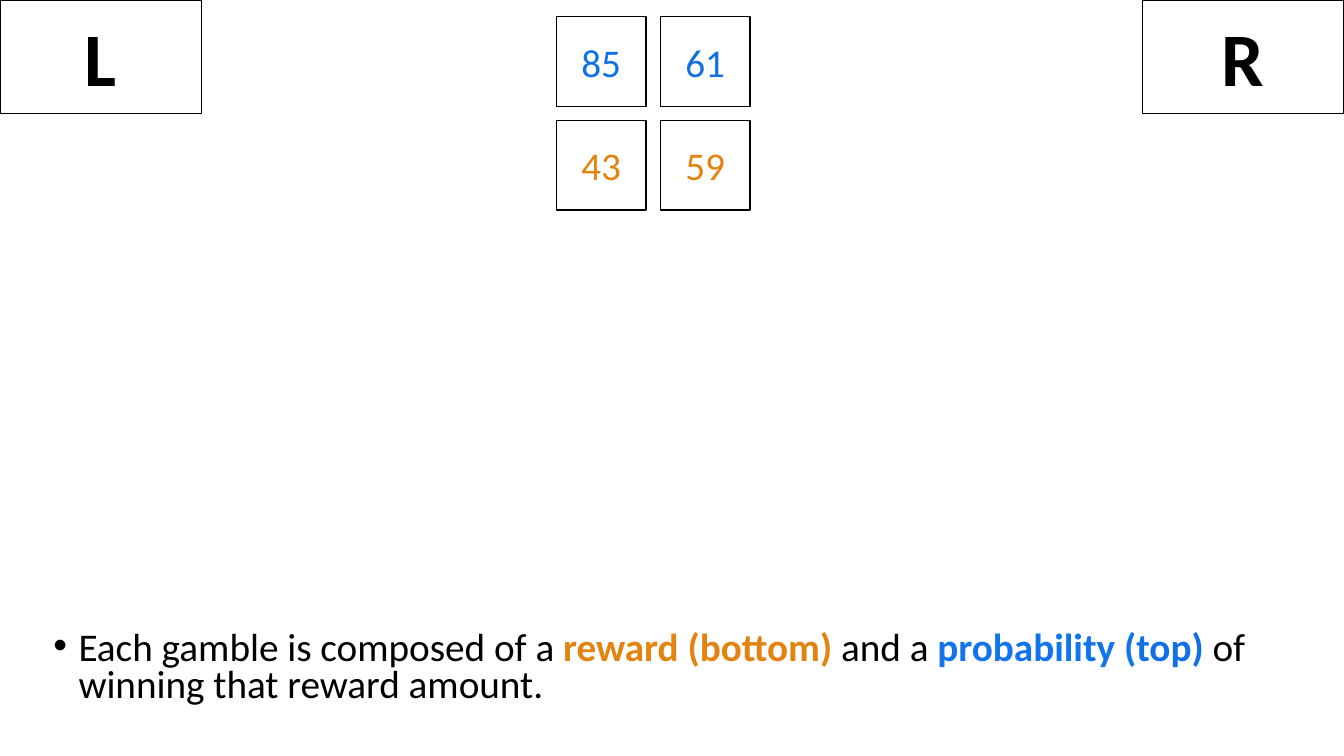
from dataclasses import dataclass

from lxml import etree
from pptx import Presentation
from pptx.dml.color import RGBColor
from pptx.enum.shapes import MSO_SHAPE
from pptx.enum.text import MSO_ANCHOR, PP_ALIGN
from pptx.oxml.ns import qn
from pptx.util import Inches, Pt

RECT = MSO_SHAPE.RECTANGLE
MIDDLE = MSO_ANCHOR.MIDDLE
CENTER = PP_ALIGN.CENTER


@dataclass(frozen=True)
class Theme:
    font: str = "Calibri"
    ink: str = "000000"
    paper: str = "FFFFFF"
    reward: str = "E38411"
    chance: str = "1170E3"
    chance_label: str = "1274EC"
    key_size: int = 54
    body_size: int = 28
    line_width: int = 1


class SlideBuilder:
    def __init__(self, prs, theme):
        self.prs = prs
        self.theme = theme
        self.slide = prs.slides.add_slide(prs.slide_layouts[6])

    def place(self, left, top, width, height):
        w, h = self.prs.slide_width, self.prs.slide_height
        return (round(w * left / 100), round(h * top / 100),
                round(w * width / 100), round(h * height / 100))

    def run(self, p, text, size, color, bold=False):
        r = p.add_run()
        r.text = text
        r.font.name = self.theme.font
        r.font.size = Pt(size)
        r.font.bold = bold
        r.font.color.rgb = RGBColor.from_string(color)

    def box(self, area, text, size, color, bold=False, fill=None, parent=None):
        shapes = (parent or self.slide).shapes
        sp = shapes.add_shape(RECT, *self.place(*area))
        sp.shadow.inherit = False
        if fill:
            sp.fill.solid()
            sp.fill.fore_color.rgb = RGBColor.from_string(fill)
        else:
            sp.fill.background()
        sp.line.color.rgb = RGBColor.from_string(self.theme.ink)
        sp.line.width = Pt(self.theme.line_width)
        tf = sp.text_frame
        tf.vertical_anchor = MIDDLE
        p = tf.paragraphs[0]
        p.alignment = CENTER
        self.run(p, text, size, color, bold)

    def key(self, left, letter):
        t = self.theme
        self.box((left, 0, 15, 15), letter, t.key_size, t.ink, True, t.paper)

    def number_row(self, top, values, color):
        group = self.slide.shapes.add_group_shape()
        for i, value in enumerate(values):
            area = (41.4 + i * 7.73, top, 6.68, 11.87)
            self.box(area, str(value), self.theme.body_size, color, parent=group)

    def bullet(self, area, parts):
        tf = self.slide.shapes.add_textbox(*self.place(*area)).text_frame
        tf.word_wrap = True
        p = tf.paragraphs[0]
        p.line_spacing = 0.8
        pPr = p._p.get_or_add_pPr()
        pPr.set("marL", str(Inches(0.25)))
        pPr.set("indent", str(Inches(-0.25)))
        etree.SubElement(pPr, qn("a:buFont")).set("typeface", "Arial")
        etree.SubElement(pPr, qn("a:buChar")).set("char", "•")
        for text, color, bold in parts:
            self.run(p, text, self.theme.body_size, color, bold)


def main():
    prs = Presentation()
    prs.slide_width, prs.slide_height = Inches(13.33), Inches(7.5)
    t = Theme()
    s = SlideBuilder(prs, t)
    s.bullet((3.23, 82.8, 93.62, 11.87), [
        ("Each gamble is composed of a ", t.ink, False),
        ("reward (bottom) ", t.reward, True),
        ("and a ", t.ink, False),
        ("probability (", t.chance_label, True),
        ("top) ", t.chance, True),
        ("of winning that reward amount.", t.ink, False),
    ])
    for left, letter in ((0, "L"), (85, "R")):
        s.key(left, letter)
    rows = (((85, 61), t.chance), ((43, 59), t.reward))
    for i, (values, color) in enumerate(rows):
        s.number_row(2.2 + i * 13.7, values, color)
    prs.save("out.pptx")


if __name__ == "__main__":
    main()
